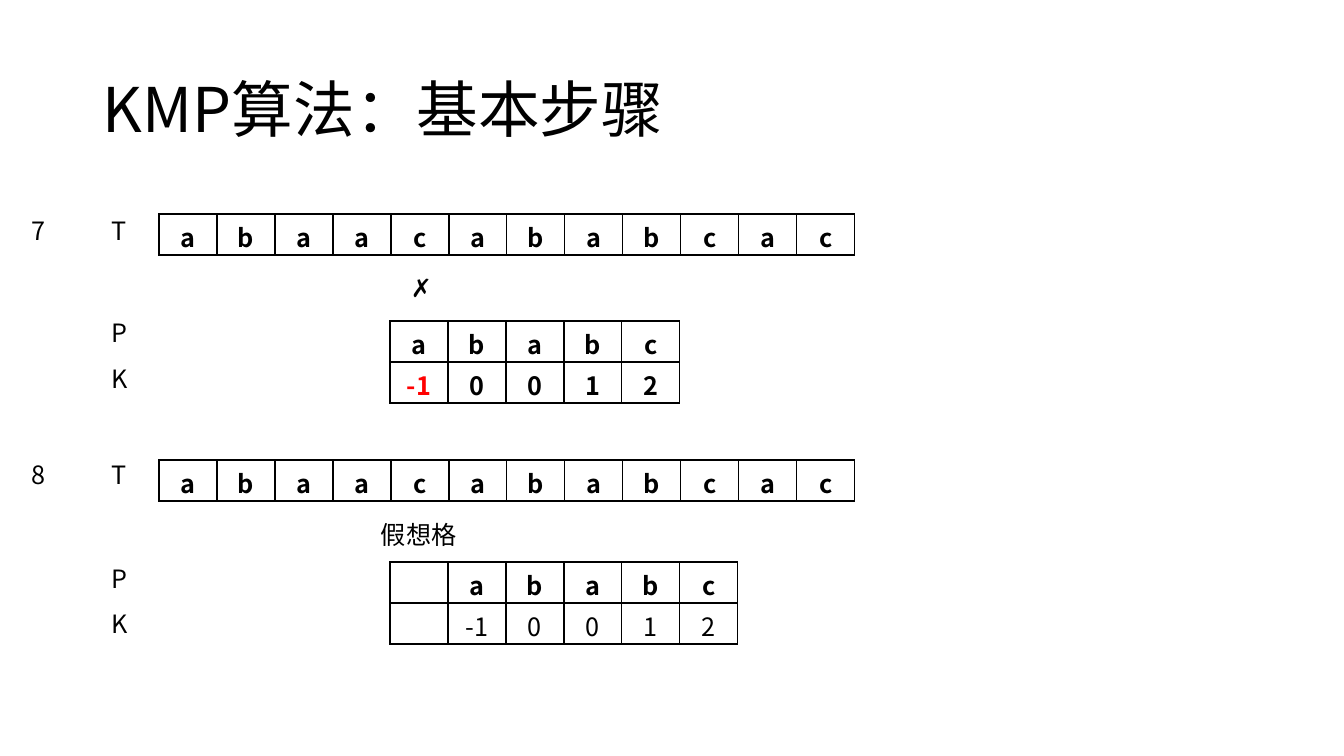
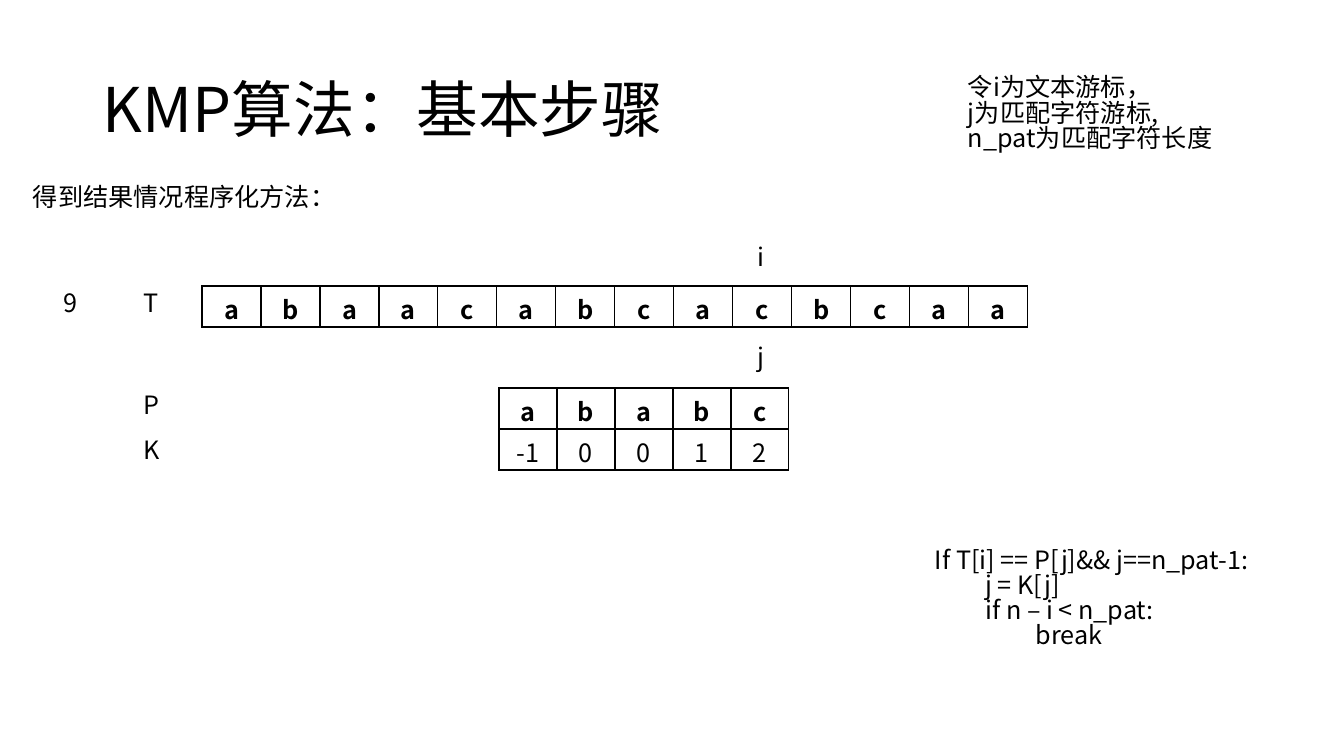
"""Build two slides on the basic steps of the KMP algorithm."""
from lxml.etree import SubElement as Sub
from pptx import Presentation
from pptx.dml.color import RGBColor
from pptx.enum.text import MSO_ANCHOR as Anchor, PP_ALIGN as Align
from pptx.oxml.ns import qn
from pptx.util import Emu, Pt

FONT, BLACK, WHITE, RED = "Noto Sans CJK SC", "000000", "FFFFFF", "FF0000"
SCALE = 914400 / 100.8
TITLE = "KMP算法：基本步骤"
ROW = 41
hue = RGBColor.from_string


def px(*sizes):
    """Turn pixels into EMU."""
    return [Emu(round(size * SCALE)) for size in sizes]


def write(frame, text, size=18, gap=1.0, bold=False, ink=BLACK):
    """Fill a text frame and format its runs."""
    frame.text = text
    for para in frame.paragraphs:
        para.line_spacing = gap
        for run in para.runs:
            font = run.font
            font.size, font.bold, font.name = Pt(size), bold, FONT
            font.color.rgb = hue(ink)
            Sub(run._r.get_or_add_rPr(), qn("a:ea"), typeface=FONT)


deck = Presentation()
deck.slide_width, deck.slide_height = px(1344, 756)

code = "If T[i] == P[j]&& j==n_pat-1:\n\tj = K[j]\n\tif n – i < n_pat:\n\t\tbreak"
rule = "令i为文本游标，\nj为匹配字符游标,\nn_pat为匹配字符长度"
text = "abaacababcac"
word = list("ababc")
keys = ["-1", "0", "0", "1", "2"]

# (step, left, top), (left, top, column, rows, bold rows, first key colour)
pages = [
    ([("7", 22, 215), ("8", 22, 460)],
     [(159, 214, 58, [text], 1, BLACK),
      (390, 321, 58, [word, keys], 2, RED),
      (159, 460, 58, [text], 1, BLACK),
      (390, 562, 58, [[""] + word, [""] + keys], 1, BLACK)],
     [("✗", 401, 273, 36, 40), ("假想格", 371, 519, 97, 40)]),
    ([("9", 54, 287)],
     [(202, 286, 59, ["abaacabcacbcaa"], 1, BLACK),
      (499, 388, 58, [word, keys], 1, BLACK)],
     [("得到结果情况程序化方法：", 23, 182, 405, 40),
      ("i", 748, 241, 23, 40), ("j", 748, 341, 23, 40),
      (rule, 958, 72, 308, 102), (code, 925, 544, 374, 132)]),
]

for steps, grids, notes in pages:
    slide = deck.slides.add_slide(deck.slide_layouts[6])
    shapes = slide.shapes
    head = shapes.add_textbox(*px(93, 40, 1159, 146)).text_frame
    head.word_wrap, head.vertical_anchor = True, Anchor.MIDDLE
    write(head, TITLE, 44, 0.9)

    marks = list(notes)
    for step, left, top in steps:
        marks.append((step, left, top, 34, 40))
        for name, drop in (("T", 0), ("P", 103), ("K", 148)):
            marks.append((name, left + 80, top + drop, 34, 40))
    for label, left, top, wide, high in marks:
        frame = shapes.add_textbox(*px(left, top, wide, high)).text_frame
        frame.word_wrap = wide > 100
        write(frame, label, gap=0.83)

    for left, top, wide, rows, strong, ink in grids:
        count = len(rows[0])
        size = px(left, top, wide * count, ROW * len(rows))
        table = shapes.add_table(len(rows), count, *size).table
        table.first_row = table.horz_banding = False
        for col in table.columns:
            col.width = px(wide)[0]
        for r, row in enumerate(rows):
            table.rows[r].height = px(ROW)[0]
            for c, value in enumerate(row):
                cell = table.cell(r, c)
                cell.margin_top = cell.margin_bottom = 0
                cell.vertical_anchor = Anchor.BOTTOM
                write(cell.text_frame, value, bold=r < strong,
                      ink=ink if value == "-1" else BLACK)
                cell.text_frame.paragraphs[0].alignment = Align.CENTER
                props = cell._tc.get_or_add_tcPr()
                for side in "LRTB":
                    edge = Sub(props, qn("a:ln" + side), w=str(Pt(1)))
                    paint = Sub(edge, qn("a:solidFill"))
                    Sub(paint, qn("a:srgbClr"), val=BLACK)
                cell.fill.solid()
                cell.fill.fore_color.rgb = hue(WHITE)

deck.save("out.pptx")
